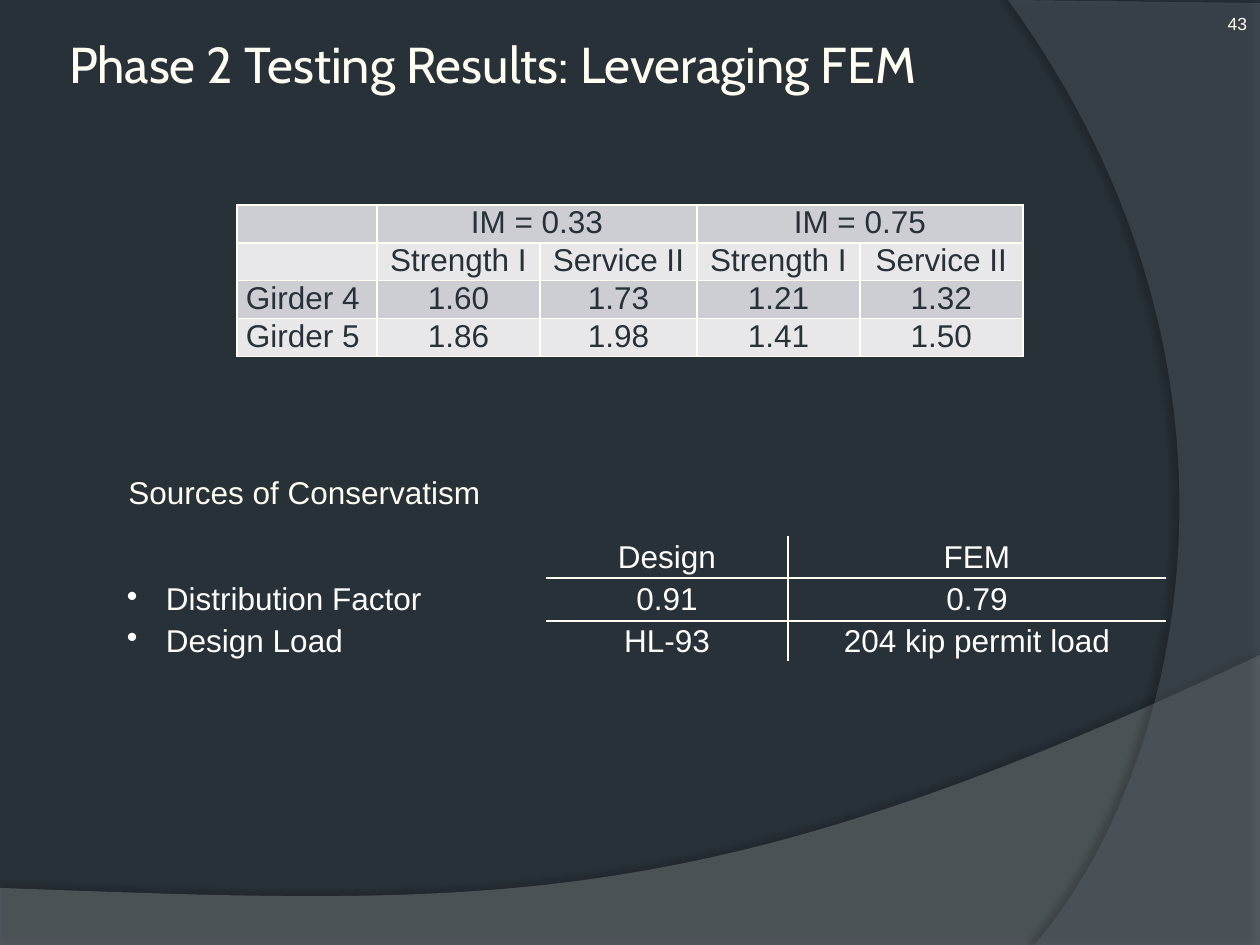
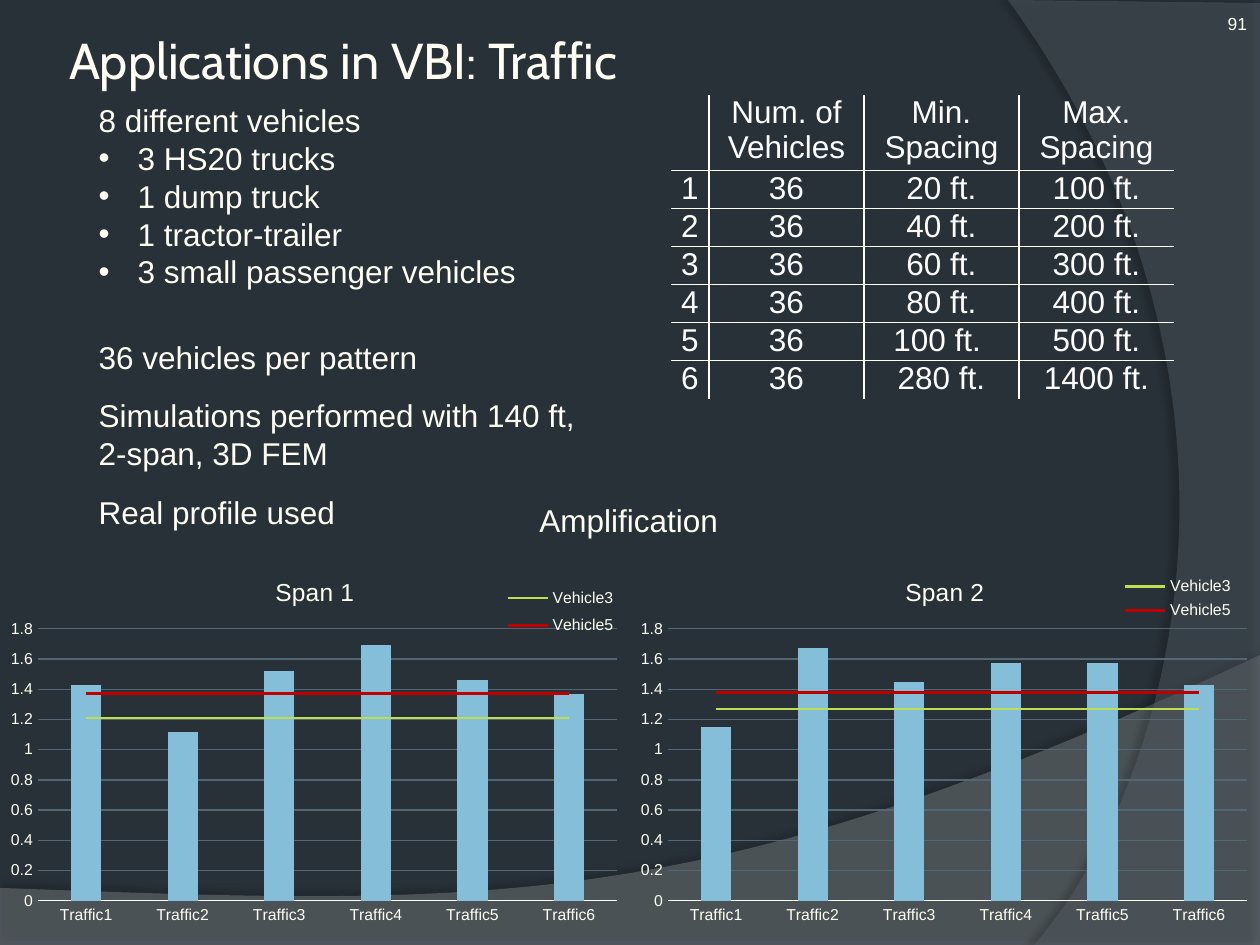
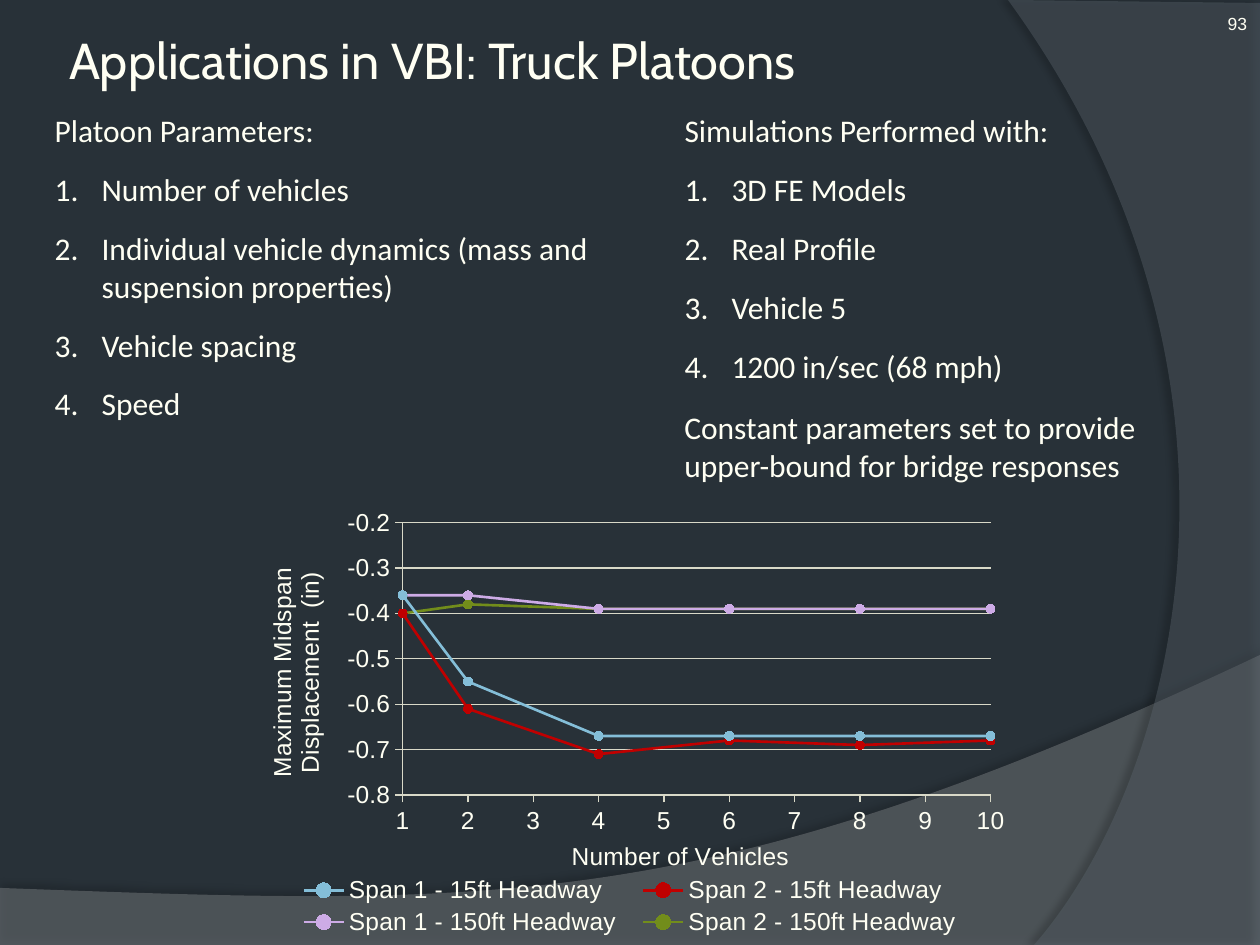
"""Build three bridge-testing slides with shared waves, tables and charts."""
from pptx import Presentation
from pptx.chart.data import CategoryChartData, XyChartData
from pptx.dml.color import RGBColor
from pptx.enum.chart import (XL_AXIS_CROSSES, XL_CHART_TYPE, XL_LEGEND_POSITION,
                             XL_MARKER_STYLE, XL_TICK_MARK)
from pptx.enum.text import MSO_ANCHOR, MSO_AUTO_SIZE, PP_ALIGN
from pptx.oxml import parse_xml
from pptx.oxml.ns import nsdecls
from pptx.util import Pt

PX = 914400 // 126
rgb = RGBColor.from_string
LEFT, CENTER, RIGHT = PP_ALIGN.LEFT, PP_ALIGN.CENTER, PP_ALIGN.RIGHT
TOP, MIDDLE = MSO_ANCHOR.TOP, MSO_ANCHOR.MIDDLE
NO_FIT = MSO_AUTO_SIZE.NONE
COLUMNS, SCATTER = XL_CHART_TYPE.COLUMN_CLUSTERED, XL_CHART_TYPE.XY_SCATTER_LINES
LEGEND_RIGHT, LEGEND_BOTTOM = XL_LEGEND_POSITION.RIGHT, XL_LEGEND_POSITION.BOTTOM
CIRCLE, NO_MARKER = XL_MARKER_STYLE.CIRCLE, XL_MARKER_STYLE.NONE
NO_TICK, TICK_OUT = XL_TICK_MARK.NONE, XL_TICK_MARK.OUTSIDE
AXIS_MINIMUM = XL_AXIS_CROSSES.MINIMUM

SLATE, IVORY, WHITE = "283138", "FFFFF3", "FFFFFF"
SKY, LIME, RED, LILAC, OLIVE = "84BED8", "BDDE53", "C00000", "CDABE6", "728D1B"
GRID, CREAM = "536674", "D9D9C8"
BANDS = ["CDCED4", "E8E8EB"]
PLAIN, DOT, NUMBER = "buNone", 'buChar char="•"', 'buAutoNum type="arabicPeriod"'


def write(para, text, size=18, name="Arial", color=IVORY, align=LEFT,
          bullet=PLAIN, indent=0, before=0, after=0):
    """Fill one paragraph and set its layout and font."""
    para.text = text
    props = para._p.get_or_add_pPr()
    props.set("marL", str(indent * PX))
    props.set("indent", str(-indent * PX))
    props.append(parse_xml(f'<a:{bullet} {nsdecls("a")}/>'))
    para.alignment = align
    para.space_before, para.space_after = Pt(before), Pt(after)
    para.line_spacing = 1.0
    para.font.size, para.font.name = Pt(size), name
    para.font.bold = False
    para.font.color.rgb = rgb(color)


def add_grid(page, left, top, widths, heights, rows, color, insets,
             anchor=TOP, bands=None, ruled_from=0, dotted=False):
    """Add a table with full borders when banded, else inner rules only."""
    grid = page.shapes.add_table(len(rows), len(widths), left * PX, top * PX,
                                 sum(widths) * PX, sum(heights) * PX).table
    grid.first_row = grid.horz_banding = False
    for column, width in zip(grid.columns, widths):
        column.width = width * PX
    for line, height in zip(grid.rows, heights):
        line.height = height * PX
    last_row, last_column = len(rows) - 1, len(widths) - 1
    for r, row in enumerate(rows):
        for c, text in enumerate(row):
            cell = grid.cell(r, c)
            cell.margin_left, cell.margin_top, cell.margin_right, cell.margin_bottom = [
                inset * PX for inset in insets]
            cell.vertical_anchor = anchor
            ruled = c >= ruled_from
            edges = {"L": c > ruled_from, "R": ruled and c < last_column,
                     "T": ruled and r > 0, "B": ruled and r < last_row}
            for side, inner in edges.items():
                paint = (f'<a:solidFill><a:srgbClr val="{IVORY}"/></a:solidFill>'
                         if bands or inner else "<a:noFill/>")
                cell._tc.get_or_add_tcPr().append(parse_xml(
                    f'<a:ln{side} {nsdecls("a")} w="12700">{paint}</a:ln{side}>'))
            if bands:
                cell.fill.solid()
                cell.fill.fore_color.rgb = rgb(bands[r % 2])
            else:
                cell.fill.background()
            para = cell.text_frame.paragraphs[0]
            listed = dotted and c == 0 and text
            align = LEFT if c == 0 and len(text) > 1 else CENTER
            write(para, text, color=color, align=align,
                  bullet=DOT if listed else PLAIN, indent=39 if listed else 0)
            para._p.append(parse_xml(f'<a:endParaRPr {nsdecls("a")} sz="1000">'
                                     '<a:latin typeface="Arial"/></a:endParaRPr>'))
    return grid


deck = Presentation()
deck.slide_width, deck.slide_height = 1260 * PX, 945 * PX
master = deck.slide_master
master.background.fill.solid()
master.background.fill.fore_color.rgb = rgb(SLATE)

pages = []
for layout_index, title, title_box, number in [
        (5, "Phase 2 Testing Results: Leveraging FEM", (63, 24, 1134, 78), "43"),
        (1, "Applications in VBI: Traffic", (63, 24, 1144, 71), "91"),
        (3, "Applications in VBI: Truck Platoons", (63, 24, 1144, 71), "93")]:
    page = deck.slides.add_slide(deck.slide_layouts[layout_index])
    pages.append(page)
    heading = page.shapes.title
    heading.left, heading.top, heading.width, heading.height = [n * PX for n in title_box]
    frame = heading.text_frame
    frame.margin_left = frame.margin_right = frame.margin_top = frame.margin_bottom = 6 * PX
    frame.vertical_anchor, frame.auto_size = MIDDLE, NO_FIT
    write(frame.paragraphs[0], title, 28.8, "Cabin")
    frame = page.shapes.add_textbox(1155 * PX, 0, 105 * PX, 50 * PX).text_frame
    frame.word_wrap = True
    frame.margin_left = frame.margin_bottom = 0
    frame.margin_top = frame.margin_right = 13 * PX
    write(frame.paragraphs[0], number, 10, align=RIGHT)
results, traffic, platoons = pages

waves = [
    ([(0, 888), (0, 945), (1260, 945), (1260, 655)],
     [(704, 918), (493, 906), (0, 888)], "808487", 45, 35, 44450, 270),
    ([(1260, 3), (1260, 945), (1034, 945)],
     [(1178, 780), (1283, 378), (1008, 0)], "5C666F", 40, 45, 50800, 180)]
for order, (corners, curve, color, opacity, shade, distance, angle) in enumerate(waves):
    outline = corners + curve[-1:]
    origin_x, origin_y = (min(values) for values in zip(*outline))
    builder = results.shapes.build_freeform(*outline[0], scale=PX)
    builder.add_line_segments(outline[1:], close=True)
    wave = builder.convert_to_shape()
    points = "".join(f'<a:pt x="{x - origin_x}" y="{y - origin_y}"/>' for x, y in curve)
    straight = wave.element.xpath(".//a:lnTo")[-1]
    straight.addnext(parse_xml(f'<a:cubicBezTo {nsdecls("a")}>{points}</a:cubicBezTo>'))
    straight.getparent().remove(straight)
    wave.fill.solid()
    wave.fill.fore_color.rgb = rgb(color)
    wave.line.fill.background()
    wave.shadow.inherit = False
    wave.element.xpath("p:spPr/a:solidFill/a:srgbClr")[0].append(
        parse_xml(f'<a:alpha {nsdecls("a")} val="{opacity * 1000}"/>'))
    wave.element.xpath("p:spPr/a:effectLst")[0].append(parse_xml(
        f'<a:outerShdw {nsdecls("a")} blurRad="50800" dist="{distance}" '
        f'dir="{angle * 60000}" rotWithShape="0"><a:srgbClr val="000000">'
        f'<a:alpha val="{shade * 1000}"/></a:srgbClr></a:outerShdw>'))
    master.shapes.element.insert(2 + order, wave.element)

ratings = add_grid(results, 237, 205, [140, 163, 157, 163, 163], [35] * 4, [
    ["", "IM = 0.33", "", "IM = 0.75", ""],
    ["", "Strength I", "Service II", "Strength I", "Service II"],
    ["Girder 4", "1.60", "1.73", "1.21", "1.32"],
    ["Girder 5", "1.86", "1.98", "1.41", "1.50"]], SLATE, (9, 0, 9, 0), bands=BANDS)
for first in (1, 3):
    ratings.cell(0, first).merge(ratings.cell(0, first + 1))
add_grid(results, 126, 536, [420, 242, 378], [42, 43, 40], [
    ["", "Design", "FEM"],
    ["Distribution Factor", "0.91", "0.79"],
    ["Design Load", "HL-93", "204 kip permit load"]],
    WHITE, (1, 1, 1, 0), anchor=MIDDLE, ruled_from=1, dotted=True)

spacings = [(20, 100), (40, 200), (60, 300), (80, 400), (100, 500), (280, 1400)]
patterns = [["", "Num. of Vehicles", "Min. Spacing", "Max. Spacing"]]
for row, (low, high) in enumerate(spacings, 1):
    patterns.append([str(row), "36", f"{low} ft." + (" " if low == 100 else ""),
                     f"{high} ft."])
add_grid(traffic, 671, 95, [38, 155, 155, 155], [75] + [38] * 6, patterns,
         WHITE, (9, 0, 9, 0))

for page, text, left, top, width, height, name, wraps in [
        (results, "Sources of Conservatism", 116, 467, 1018, 50, "Arial", True),
        (traffic, "Amplification", 527, 495, 205, 50, "Arial", False),
        (platoons, "Constant parameters set to provide upper-bound for bridge responses",
         672, 402, 483, 89, "Calibri", True)]:
    frame = page.shapes.add_textbox(left * PX, top * PX, width * PX, height * PX).text_frame
    frame.word_wrap = wraps
    write(frame.paragraphs[0], text, name=name)

vehicles = [("8 different vehicles", PLAIN, 0, 0), ("3 HS20 trucks", DOT, 0, 0),
            ("1 dump truck", DOT, 0, 0), ("1 tractor-trailer", DOT, 0, 0),
            ("3 small passenger vehicles", DOT, 0, 0),
            ("36 vehicles per pattern", PLAIN, 27, 6),
            ("Simulations performed with 140 ft, 2-span, 3D FEM", PLAIN, 6, 6),
            ("Real profile used", PLAIN, 6, 6)]
platoon_lists = []
for lead, *items in [
        ("Platoon Parameters:", "Number of vehicles",
         "Individual vehicle dynamics (mass and suspension properties)",
         "Vehicle spacing", "Speed"),
        ("Simulations Performed with:", "3D FE Models", "Real Profile", "Vehicle 5",
         "1200 in/sec (68 mph)")]:
    platoon_lists.append([(lead, PLAIN, 0, 6)] + [(item, NUMBER, 6, 6) for item in items])
for page, slot, place, lines, name, indent in [
        (traffic, 1, (86, 95, 533, 447), vehicles, "Arial", 39),
        (platoons, 1, (42, 105, 630, 326), platoon_lists[0], "Calibri", 47),
        (platoons, 2, (672, 105, 630, 289), platoon_lists[1], "Calibri", 47)]:
    body = page.placeholders[slot]
    body.left, body.top, body.width, body.height = [n * PX for n in place]
    frame = body.text_frame
    frame.auto_size, frame.vertical_anchor = NO_FIT, TOP
    for order, (text, bullet, before, after) in enumerate(lines):
        para = frame.add_paragraph() if order else frame.paragraphs[0]
        write(para, text, name=name, bullet=bullet, before=before, after=after,
              indent=0 if bullet == PLAIN else indent)

layouts = []
for left, title, loads, vehicle3, vehicle5, legend_spot in [
        (0, "Span 1", [1.43, 1.12, 1.52, 1.69, 1.46, 1.37], 1.21, 1.37,
         (0.79, 0.06, 0.2, 0.17)),
        (630, "Span 2", [1.15, 1.67, 1.45, 1.57, 1.57, 1.43], 1.27, 1.38,
         (0.77, 0.04, 0.2, 0.14))]:
    data = CategoryChartData()
    data.categories = [f"Traffic{n}" for n in range(1, 7)]
    data.add_series("Series 1", loads)
    data.add_series("Vehicle3", [vehicle3] * 6)
    data.add_series("Vehicle5", [vehicle5] * 6)
    chart = traffic.shapes.add_chart(COLUMNS, left * PX, 557 * PX, 630 * PX, 378 * PX,
                                     data).chart
    chart.font.size, chart.font.name = Pt(10), "Arial"
    chart.font.color.rgb = rgb(IVORY)
    chart.has_title = True
    para = chart.chart_title.text_frame.paragraphs[0]
    para.text = title
    para.font.size, para.font.bold, para.font.name = Pt(14), False, "Arial"
    para.font.color.rgb = rgb(IVORY)

    bars = chart.element.xpath("//c:barChart")[0]
    lines = parse_xml(f'<c:lineChart {nsdecls("c")}><c:grouping val="standard"/>'
                      '<c:varyColors val="0"/></c:lineChart>')
    for series in bars.xpath("c:ser")[1:]:
        for flag in series.xpath("c:invertIfNegative"):
            series.remove(flag)
        lines.append(series)
    lines.append(parse_xml(f'<c:marker {nsdecls("c")} val="1"/>'))
    for axis_id in bars.xpath("c:axId"):
        lines.append(parse_xml(f'<c:axId {nsdecls("c")} val="{axis_id.get("val")}"/>'))
    bars.addnext(lines)
    bar_plot, line_plot = chart.plots
    bar_plot.vary_by_categories = False
    bar_plot.gap_width = 219
    bar_plot.series[0].format.fill.solid()
    bar_plot.series[0].format.fill.fore_color.rgb = rgb(SKY)
    for series, color in zip(line_plot.series, (LIME, RED)):
        series.smooth = False
        series.marker.style = NO_MARKER
        series.format.line.width = Pt(1.5)
        series.format.line.color.rgb = rgb(color)

    for axis in (chart.category_axis, chart.value_axis):
        axis.major_tick_mark = axis.minor_tick_mark = NO_TICK
        axis.tick_labels.font.size = Pt(9)
    chart.category_axis.format.line.width = Pt(0.75)
    chart.category_axis.format.line.color.rgb = rgb(IVORY)
    axis = chart.value_axis
    axis.minimum_scale, axis.maximum_scale, axis.major_unit = 0, 1.8, 0.2
    axis.format.line.fill.background()
    axis.major_gridlines.format.line.width = Pt(0.75)
    axis.major_gridlines.format.line.color.rgb = rgb(GRID)
    chart.has_legend = True
    chart.legend.position, chart.legend.include_in_layout = LEGEND_RIGHT, True
    chart.legend.font.size = Pt(9)
    chart.legend.font.color.rgb = rgb(IVORY)
    chart.element.xpath("//c:legend/c:legendPos")[0].addnext(parse_xml(
        f'<c:legendEntry {nsdecls("c")}><c:idx val="0"/><c:delete val="1"/></c:legendEntry>'))
    layouts += [(chart, "c:plotArea", (0.06, 0.19, 0.92, 0.72)),
                (chart, "c:legend", legend_spot),
                (chart, "c:chart/c:title", (0.43, 0.04, 0.13, 0.08))]

data = XyChartData()
headways = [("Span 1 - 15ft Headway", [-0.36, -0.55, -0.67, -0.67, -0.67, -0.67], SKY),
            ("Span 2 - 15ft Headway", [-0.4, -0.61, -0.71, -0.68, -0.69, -0.68], RED),
            ("Span 1 - 150ft Headway", [-0.36, -0.36, -0.39, -0.39, -0.39, -0.39], LILAC),
            ("Span 2 - 150ft Headway", [-0.4, -0.38, -0.39, -0.39, -0.39, -0.39], OLIVE)]
for name, displacements, color in headways:
    series = data.add_series(name)
    for count, displacement in zip([1, 2, 4, 6, 8, 10], displacements):
        series.add_data_point(count, displacement)
chart = platoons.shapes.add_chart(SCATTER, 238 * PX, 500 * PX, 784 * PX, 454 * PX, data).chart
chart.has_title = False
chart.font.size, chart.font.name = Pt(14), "Arial"
chart.font.color.rgb = rgb(IVORY)
chart.plots[0].vary_by_categories = False
for series, (name, displacements, color) in zip(chart.plots[0].series, headways):
    series.smooth = False
    series.format.line.width = Pt(1.5)
    series.marker.style, series.marker.size = CIRCLE, 5
    series.marker.format.fill.solid()
    series.marker.format.fill.fore_color.rgb = rgb(color)
    for line in (series.format.line, series.marker.format.line):
        line.color.rgb = rgb(color)
for axis, title, low, high, unit, pattern, gridded in [
        (chart.category_axis, "Number of Vehicles", 1, 10, 1, "0", False),
        (chart.value_axis, "Maximum Midspan Displacement  (in)", -0.8, -0.2, 0.1, "0.0", True)]:
    axis.minimum_scale, axis.maximum_scale, axis.major_unit = low, high, unit
    axis.major_tick_mark, axis.minor_tick_mark = TICK_OUT, NO_TICK
    axis.has_major_gridlines = gridded
    axis.tick_labels.number_format = pattern
    axis.tick_labels.number_format_is_linked = False
    axis.format.line.color.rgb = rgb(CREAM)
    para = axis.axis_title.text_frame.paragraphs[0]
    para.text = title
    para.font.size, para.font.bold, para.font.name = Pt(14), False, "Arial"
    para.font.color.rgb = rgb(IVORY)
chart.value_axis.major_gridlines.format.line.color.rgb = rgb(CREAM)
chart.value_axis.crosses = AXIS_MINIMUM
chart.has_legend = True
chart.legend.position, chart.legend.include_in_layout = LEGEND_BOTTOM, False
layouts += [(chart, "c:plotArea", (0.21, 0.05, 0.75, 0.6)),
            (chart, "c:legend", (0.06, 0.82, 0.88, 0.15)),
            (chart, "c:valAx[1]/c:title", (0.42, 0.74, 0.28, 0.06)),
            (chart, "c:valAx[2]/c:title", (0.03, 0.14, 0.07, 0.47))]

for chart, target, spot in layouts:
    part = chart.element.xpath(f"//{target}")[0]
    for old in part.xpath("c:layout"):
        part.remove(old)
    sizes = "".join(f'<c:{key} val="{value}"/>' for key, value in zip("xywh", spot))
    part.xpath("c:overlay | c:barChart | c:scatterChart")[0].addprevious(parse_xml(
        f'<c:layout {nsdecls("c")}><c:manualLayout><c:layoutTarget val="inner"/>'
        f'<c:xMode val="edge"/><c:yMode val="edge"/>{sizes}</c:manualLayout></c:layout>'))

deck.save("out.pptx")
